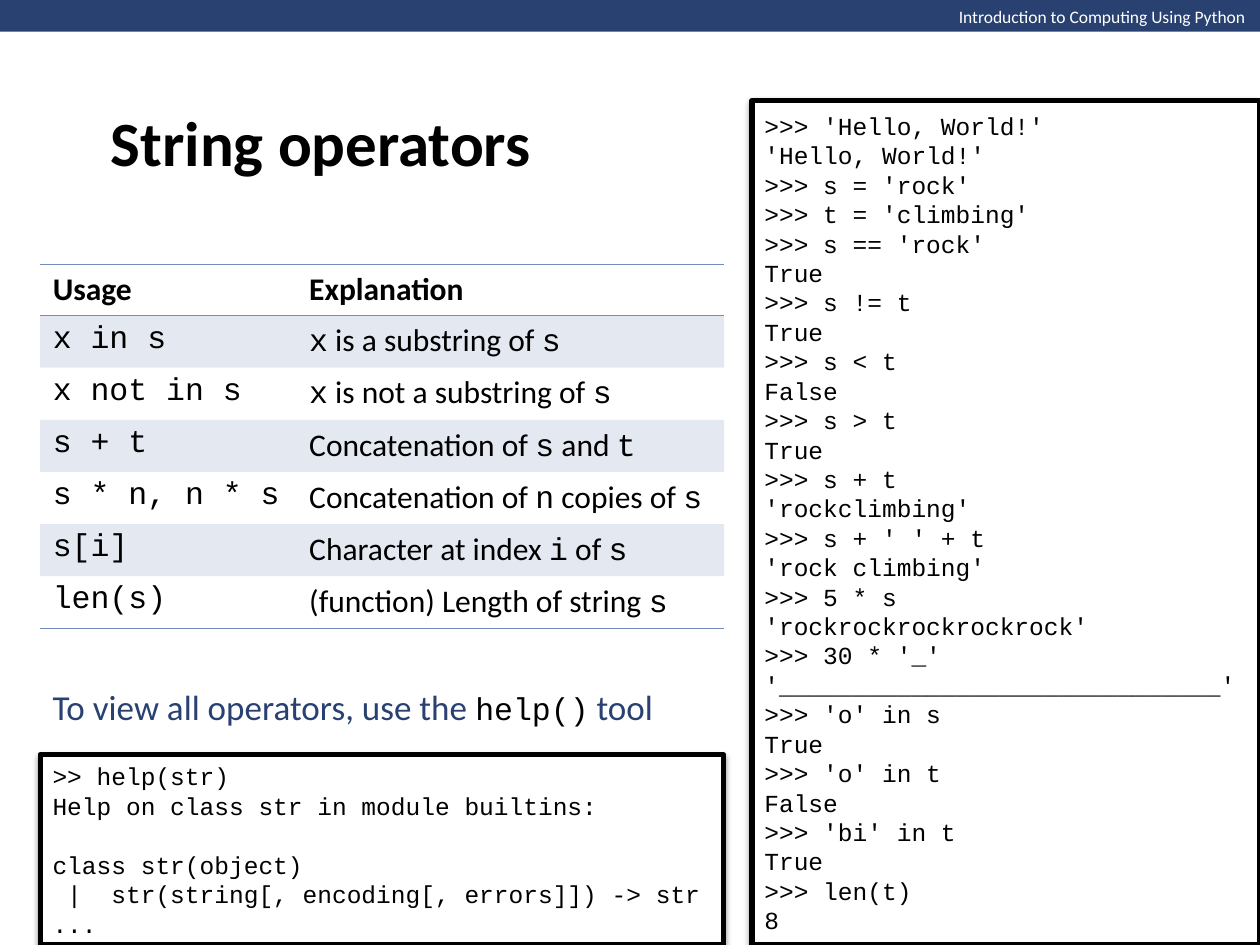
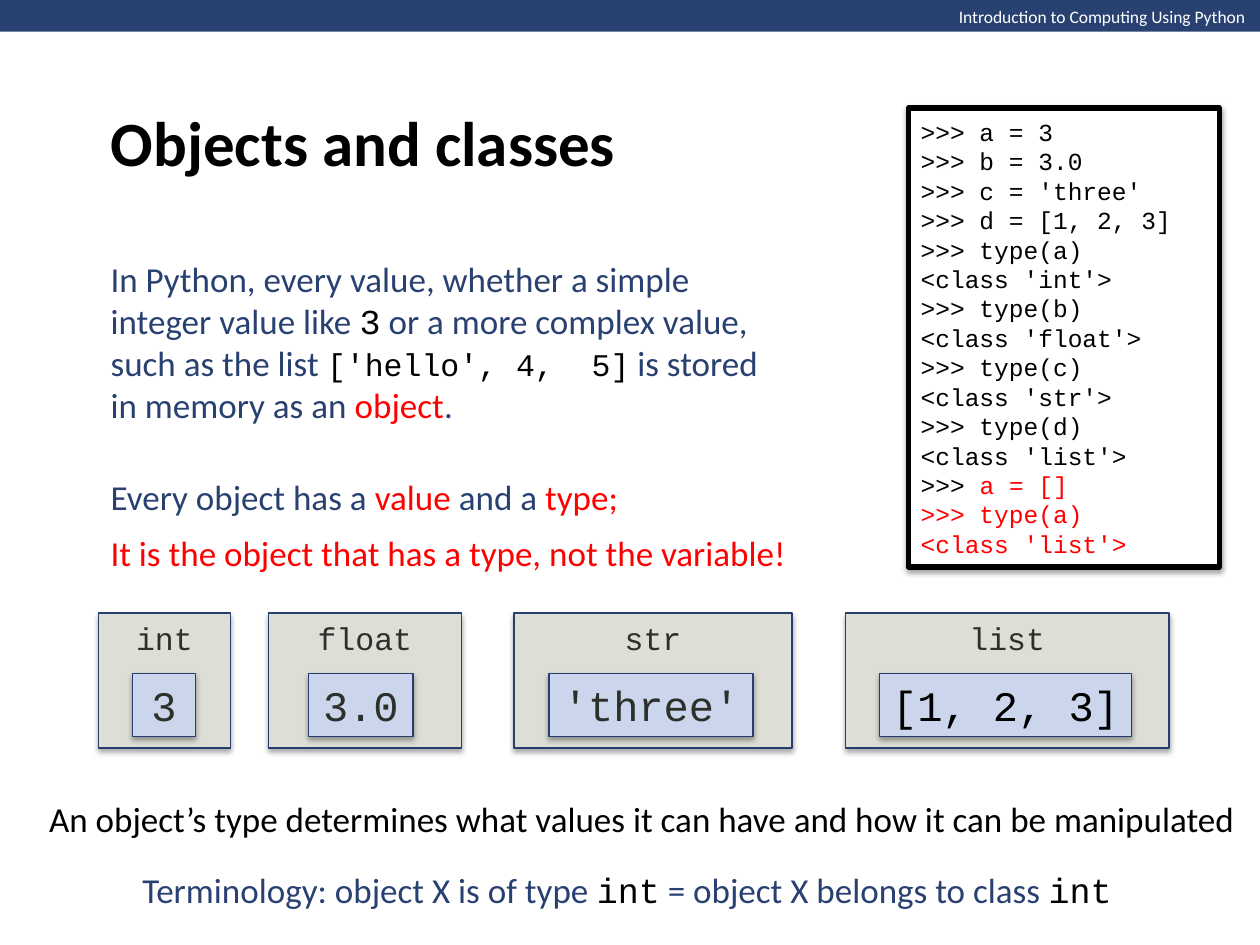
from lxml import etree
from pptx import Presentation
from pptx.dml.color import RGBColor
from pptx.enum.shapes import MSO_SHAPE
from pptx.enum.text import MSO_ANCHOR, MSO_AUTO_SIZE, PP_ALIGN
from pptx.oxml.ns import qn
from pptx.util import Cm, Pt

RECTANGLE = MSO_SHAPE.RECTANGLE
TOP, MIDDLE, BOTTOM = MSO_ANCHOR.TOP, MSO_ANCHOR.MIDDLE, MSO_ANCHOR.BOTTOM
LEFT, CENTER = PP_ALIGN.LEFT, PP_ALIGN.CENTER
FIXED_SIZE = MSO_AUTO_SIZE.NONE

NAVY = RGBColor(0x29, 0x41, 0x71)
EDGE = RGBColor(0x26, 0x3F, 0x70)
RULE = RGBColor(0x74, 0x8C, 0xBC)
STONE = RGBColor(0xDE, 0xDE, 0xD7)
PALE_BLUE = RGBColor(0xCB, 0xD6, 0xEC)
CHARCOAL = RGBColor(0x2D, 0x2F, 0x2B)
BLACK = RGBColor(0, 0, 0)
WHITE = RGBColor(0xFF, 0xFF, 0xFF)
RED = RGBColor(0xFF, 0, 0)

SANS, MONO = "Calibri", "Courier New"
PROSE = dict(size=20, color=NAVY)
ALERT = dict(size=20, color=RED)
CODE = dict(size=14, font=MONO)
CODE_18 = dict(size=18, font=MONO)
CODE_20 = dict(size=20, font=MONO)
CODE_LINE = Pt(16.8)
NO_TABLE_STYLE = "{2D5ABB26-0587-4C30-8999-92F81FD0307C}"

OPERATORS = [
    ("x in s", "`x` is a substring of `s`"),
    ("x not in s", "`x` is not a substring of `s`"),
    ("s + t", "Concatenation of `s` and `t`"),
    ("s * n, n * s", "Concatenation of `n` copies of `s`"),
    ("s[i]", "Character at index `i` of `s`"),
    ("len(s)", "(function) Length of string `s`"),
]
STRING_SESSION = """\
>>> 'Hello, World!'
'Hello, World!'
>>> s = 'rock'
>>> t = 'climbing'
>>> s == 'rock'
True
>>> s != t
True
>>> s < t
False
>>> s > t
True
>>> s + t
'rockclimbing'
>>> s + ' ' + t
'rock climbing'
>>> 5 * s
'rockrockrockrockrock'
>>> 30 * '_'
'______________________________'
>>> 'o' in s
True
>>> 'o' in t
False
>>> 'bi' in t
True
>>> len(t)
8"""
HELP_SESSION = """\
>> help(str)
Help on class str in module builtins:

class str(object)
 |  str(string[, encoding[, errors]]) -> str
..."""
TYPE_SESSION = """\
>>> a = 3
>>> b = 3.0
>>> c = 'three'
>>> d = [1, 2, 3]
>>> type(a)
<class 'int'>
>>> type(b)
<class 'float'>
>>> type(c)
<class 'str'>
>>> type(d)
<class 'list'>"""
RED_CODE = dict(CODE, color=RED)
REBINDING = [
    [(">>> ", CODE), ("a = []", RED_CODE)],
    [(">>> type(a)", RED_CODE)],
    [("<class 'list'>", RED_CODE)],
]
# type, value, left, width, value offset, value width, value colour (cm)
OBJECTS = [
    ("int", "3", 1.98, 2.67, 0.69, 1.27, CHARCOAL),
    ("float", "3.0", 5.41, 3.89, 0.81, 2.11, CHARCOAL),
    ("str", "'three'", 10.36, 5.61, 0.71, 4.11, CHARCOAL),
    ("list", "[1, 2, 3]", 17.04, 6.53, 0.69, 5.08, BLACK),
]


def write_span(para, text, size=18, font=SANS, color=BLACK, bold=False):
    span = para.add_run()
    span.text = text
    span.font.size = Pt(size)
    span.font.name = font
    span.font.color.rgb = color
    span.font.bold = bold


def write(frame, paragraphs, align=LEFT, line_spacing=None):
    """Fill a text frame from lists of (text, format) spans."""
    for index, spans in enumerate(paragraphs):
        para = frame.add_paragraph() if index else frame.paragraphs[0]
        para.alignment = align
        if line_spacing:
            para.line_spacing = line_spacing
        for text, style in spans:
            write_span(para, text, **style)


def place(shape, box):
    shape.left, shape.top, shape.width, shape.height = map(Cm, box)


def add_text(page, box, spans, anchor=MIDDLE):
    shape = page.shapes.add_textbox(*map(Cm, box))
    frame = shape.text_frame
    frame.word_wrap = True
    frame.auto_size = FIXED_SIZE
    frame.vertical_anchor = anchor
    write(frame, [spans])


def add_panel(page, box, fill, line=None, line_width=0.75, anchor=MIDDLE):
    panel = page.shapes.add_shape(RECTANGLE, *map(Cm, box))
    panel.shadow.inherit = False
    panel.fill.solid()
    panel.fill.fore_color.rgb = fill
    if line is None:
        panel.line.fill.background()
    else:
        panel.line.color.rgb = line
        panel.line.width = Pt(line_width)
    panel.text_frame.word_wrap = True
    panel.text_frame.vertical_anchor = anchor
    return panel


def cast_shadow(shape, distance, opacity):
    effects = shape._element.spPr.find(qn("a:effectLst"))
    shadow = etree.SubElement(
        effects, qn("a:outerShdw"), blurRad="40000", dist=str(distance),
        dir="5400000", rotWithShape="0")
    color = etree.SubElement(shadow, qn("a:srgbClr"), val=str(BLACK))
    etree.SubElement(color, qn("a:alpha"), val=str(opacity * 1000))


def add_code_panel(page, box, session, extra=()):
    """Draw a black-framed session; an empty line becomes space before the next."""
    panel = add_panel(page, box, WHITE, BLACK, 3)
    cast_shadow(panel, 20000, 38)
    lines = session.split("\n")
    shown = [[(line, CODE)] for line in lines if line]
    write(panel.text_frame, shown + list(extra), line_spacing=CODE_LINE)
    if "" in lines:
        panel.text_frame.paragraphs[lines.index("")].space_before = CODE_LINE


def add_page(deck, title):
    page = deck.slides.add_slide(deck.slide_layouts[5])
    add_panel(page, (0, 0, 25.43, 0.64), NAVY)
    add_text(page, (19.08, 0, 6.35, 0.69),
             [("Introduction to Computing Using Python", dict(size=10, color=WHITE))], TOP)
    place(page.shapes.title, (1.98, 0, 21.59, 4.09))
    frame = page.shapes.title.text_frame
    frame.auto_size = FIXED_SIZE
    frame.vertical_anchor = BOTTOM
    frame.margin_bottom = Cm(0.48)
    write(frame, [[(title, dict(size=36, bold=True))]])
    return page


def add_cell_border(cell, side):
    border = etree.Element(qn(f"a:{side}"), w=str(Pt(1)))
    fill = etree.SubElement(border, qn("a:solidFill"))
    etree.SubElement(fill, qn("a:srgbClr"), val=str(RULE))
    cell._tc.get_or_add_tcPr().insert(0, border)


def fill_cell(cell, banded):
    if not banded:
        cell.fill.background()
        return
    cell.fill.solid()
    cell.fill.fore_color.rgb = RULE
    color = cell._tc.tcPr.find(".//" + qn("a:srgbClr"))
    etree.SubElement(color, qn("a:alpha"), val="20000")


def mixed_spans(marked):
    """Split text into spans, with code between backticks."""
    return [(part, CODE_18 if index % 2 else {})
            for index, part in enumerate(marked.split("`")) if part]


def add_operator_table(page, box):
    header = [[(name, dict(bold=True))] for name in ("Usage", "Explanation")]
    rows = [header] + [[[(usage, CODE_18)], mixed_spans(meaning)]
                       for usage, meaning in OPERATORS]
    table = page.shapes.add_table(len(rows), 2, *map(Cm, box)).table
    table._tbl.tblPr.find(qn("a:tableStyleId")).text = NO_TABLE_STYLE
    for column, width in zip(table.columns, (5.17, box[2] - 5.17)):
        column.width = Cm(width)
    for row_index, row in enumerate(rows):
        for column_index, spans in enumerate(row):
            cell = table.cell(row_index, column_index)
            write(cell.text_frame, [spans])
            fill_cell(cell, banded=row_index % 2 == 1)
            if row_index in (0, len(rows) - 1):
                add_cell_border(cell, "lnB")
            if row_index == 0:
                add_cell_border(cell, "lnT")


def add_object(page, top, kind, value, left, width, offset, value_width, color):
    """Draw an object as a type box that holds a value box."""
    outer = add_panel(page, (left, top, width, 2.72), STONE, EDGE, anchor=TOP)
    inner = add_panel(page, (left + offset, top + 1.22, value_width, 1.27), PALE_BLUE, EDGE)
    for panel, text, size, ink in ((outer, kind, 18, CHARCOAL), (inner, value, 24, color)):
        cast_shadow(panel, 23000, 35)
        write(panel.text_frame, [[(text, dict(size=size, font=MONO, color=ink))]], CENTER)


def build_string_operators(deck):
    page = add_page(deck, "String operators")
    add_code_panel(page, (15.16, 2.03, 10.24, 17.02), STRING_SESSION)
    add_operator_table(page, (0.81, 5.33, 13.79, 7.21))
    add_code_panel(page, (0.81, 15.21, 13.77, 3.84), HELP_SESSION)
    add_text(page, (0.81, 13.69, 13.08, 1.12), [
        ("To view all operators, use the ", PROSE), ("help()", CODE_18), (" tool", PROSE)])


def build_objects_and_classes(deck):
    page = add_page(deck, "Objects and classes")
    add_text(page, (1.98, 5.05, 14.02, 3.68), [
        ("In Python, every value, whether a simple integer value like ", PROSE),
        ("3", CODE_20),
        (" or a more complex value, such as the list ", PROSE),
        ("['hello', 4,  5]", CODE_18),
        (" is stored in memory as an ", PROSE), ("object", ALERT), (".", PROSE)])
    add_text(page, (1.98, 9.45, 11.05, 1.12), [
        ("Every object has a ", PROSE), ("value ", ALERT), ("and a ", PROSE), ("type;", ALERT)])
    add_text(page, (1.98, 10.57, 14.25, 1.12), [
        ("It is the object that has a type, not the variable!", ALERT)])
    add_code_panel(page, (18.31, 2.18, 6.27, 9.25), TYPE_SESSION, REBINDING)
    for item in OBJECTS:
        add_object(page, 12.36, *item)
    add_text(page, (0.74, 15.95, 24.69, 1.12), [
        ("An object’s type determines what values it can have and how it can be manipulated",
         dict(size=20))])
    add_text(page, (2.62, 17.37, 20.83, 1.12), [
        ("Terminology: object X is of type ", PROSE), ("int", CODE_20),
        (" = object X belongs to class ", PROSE), ("int", CODE_20)])


def main():
    deck = Presentation()
    deck.slide_width, deck.slide_height = Cm(25.4), Cm(19.05)
    build_string_operators(deck)
    build_objects_and_classes(deck)
    deck.save("out.pptx")


if __name__ == "__main__":
    main()
